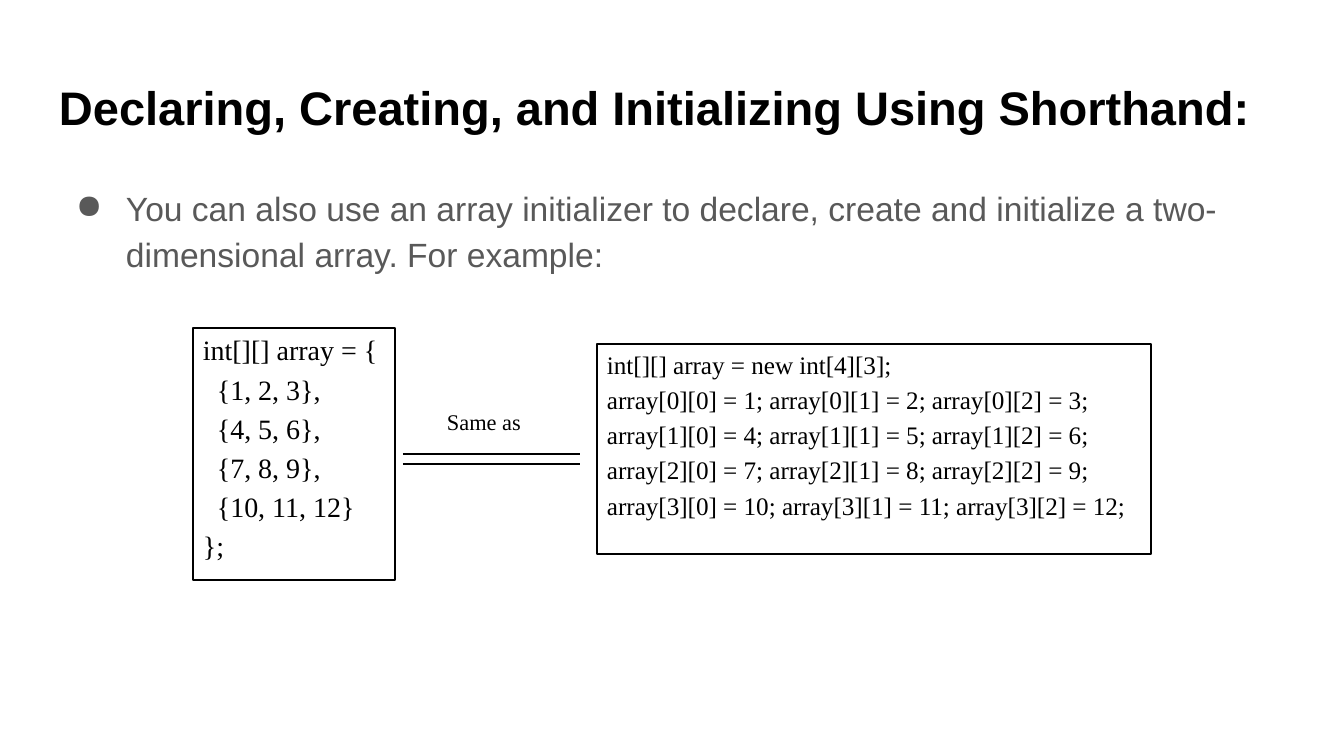
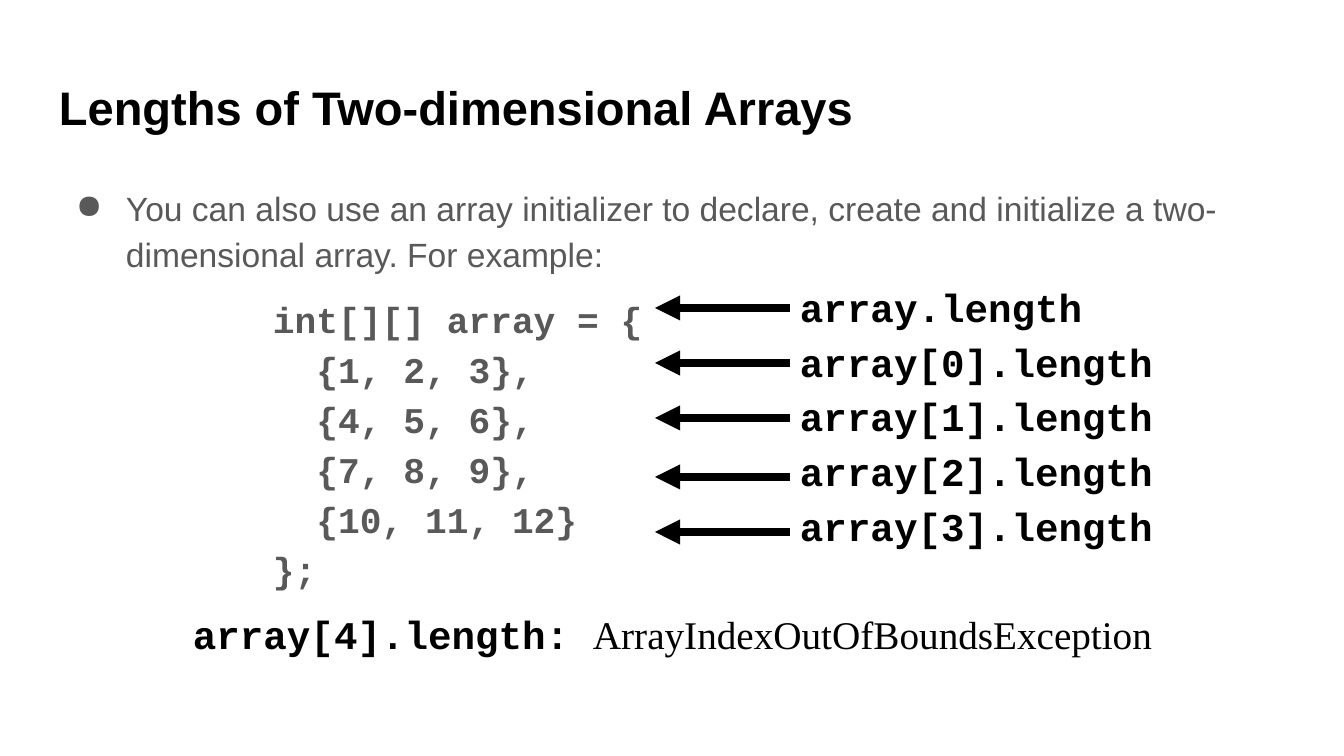
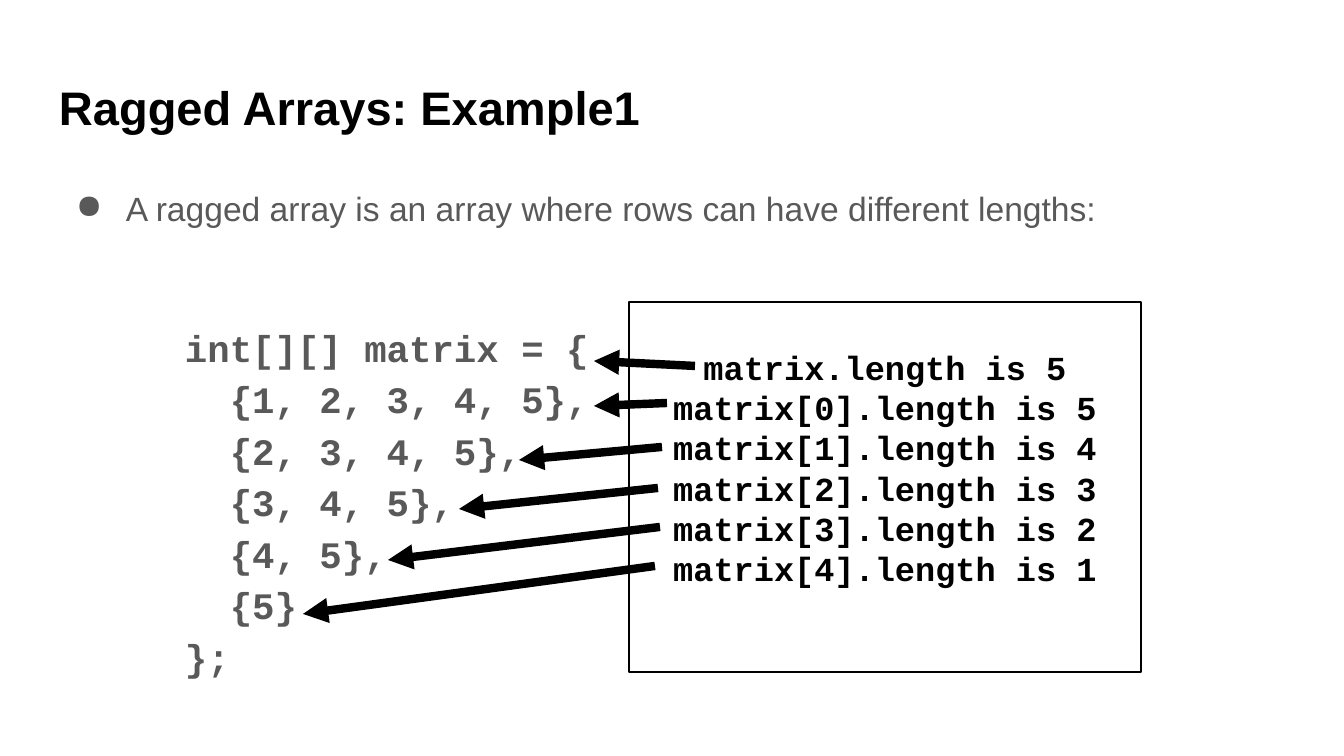
from lxml import etree
from pptx import Presentation
from pptx.dml.color import RGBColor
from pptx.enum.shapes import MSO_CONNECTOR, MSO_SHAPE
from pptx.enum.text import MSO_ANCHOR, PP_ALIGN
from pptx.oxml.ns import qn
from pptx.util import Pt

# Shared scale, colours and fonts
EMU_PER_PX = 914400 / 134.4
SLIDE_WIDTH, SLIDE_HEIGHT = 1344, 756
BLACK, GREY, WHITE = "000000", "595959", "FFFFFF"
SANS, MONO, SERIF = "Arial", "Courier New", "Times New Roman"
STRAIGHT = MSO_CONNECTOR.STRAIGHT
RECTANGLE = MSO_SHAPE.RECTANGLE
TOP, MIDDLE = MSO_ANCHOR.TOP, MSO_ANCHOR.MIDDLE
LEFT, CENTER = PP_ALIGN.LEFT, PP_ALIGN.CENTER

# Insets are left, top, right, bottom
WIDE_INSETS = (13, 13, 13, 13)
NARROW_INSETS = (10, 5, 10, 5)
HANGING = 50
INITIALIZER = ["int[][] array = {", "  {1, 2, 3},", "  {4, 5, 6},",
               "  {7, 8, 9},", "  {10, 11, 12}", "};"]
INITIALIZER_INTRO = ("You can also use an array initializer to declare, create and "
                     "initialize a two-dimensional array. For example:")


def px(length):
    return round(length * EMU_PER_PX)


def color(hex_string):
    return RGBColor.from_string(hex_string)


def add_bullet(paragraph, hex_string):
    properties = paragraph._p.get_or_add_pPr()
    bullet_color = etree.SubElement(properties, qn("a:buClr"))
    etree.SubElement(bullet_color, qn("a:srgbClr"), val=hex_string)
    etree.SubElement(properties, qn("a:buChar"), char="●")


def write_lines(shape, lines, font, size, hex_string, bold=False, insets=NARROW_INSETS,
                margin=HANGING, hanging=HANGING, line_spacing=None, gap=0,
                bullet=False, align=LEFT, anchor=TOP, wrap=True):
    """Fill a shape with one paragraph per line; gap is a share of the text size."""
    frame = shape.text_frame
    frame.word_wrap = wrap
    frame.vertical_anchor = anchor
    (frame.margin_left, frame.margin_top,
     frame.margin_right, frame.margin_bottom) = map(px, insets)
    for index, line in enumerate(lines):
        paragraph = frame.add_paragraph() if index else frame.paragraphs[0]
        paragraph.add_run().text = line
        paragraph.alignment = align
        properties = paragraph._p.get_or_add_pPr()
        properties.set("marL", str(px(margin)))
        properties.set("indent", str(-px(hanging)))
        if line_spacing:
            paragraph.line_spacing = line_spacing
        if index and gap:
            paragraph.space_before = Pt(size * gap)
        if bullet:
            add_bullet(paragraph, hex_string)
        paragraph.font.name = font
        paragraph.font.size = Pt(size)
        paragraph.font.bold = bold
        paragraph.font.color.rgb = color(hex_string)


def add_text(slide, box, lines, *style, **layout):
    shape = slide.shapes.add_textbox(*map(px, box))
    write_lines(shape, lines, *style, **layout)
    return shape


def add_framed_text(slide, box, lines, *style, line_width=0.75, fill=None, **layout):
    shape = slide.shapes.add_shape(RECTANGLE, *map(px, box))
    shape.shadow.inherit = False
    if fill:
        shape.fill.solid()
        shape.fill.fore_color.rgb = color(fill)
    else:
        shape.fill.background()
    shape.line.color.rgb = color(BLACK)
    shape.line.width = Pt(line_width)
    write_lines(shape, lines, *style, **layout)


def add_code(slide, box, lines, size):
    add_text(slide, box, lines, MONO, size, GREY, bold=True,
             insets=WIDE_INSETS, margin=67, line_spacing=1.15)


def add_line(slide, start, end, width):
    connector = slide.shapes.add_connector(STRAIGHT, *map(px, start + end))
    connector.line.color.rgb = color(BLACK)
    connector.line.width = Pt(width)
    etree.SubElement(connector._element.spPr, qn("a:effectLst"))
    return connector


def add_arrow(slide, start, end):
    connector = add_line(slide, start, end, 4.5)
    etree.SubElement(connector.line._get_or_add_ln(), qn("a:tailEnd"), type="triangle")


def add_topic_slide(presentation, title, intro):
    """Start a slide with its title and its bulleted introduction."""
    slide = presentation.slides.add_slide(presentation.slide_layouts[6])
    add_text(slide, (46, 169, 1253, 503), [intro], SANS, 18, GREY,
             insets=WIDE_INSETS, margin=67, line_spacing=1.15, bullet=True)
    add_text(slide, (46, 66, 1253, 85), [title], SANS, 25.2, BLACK, bold=True,
             insets=WIDE_INSETS, margin=0, hanging=0)
    return slide


def build_shorthand(presentation):
    slide = add_topic_slide(
        presentation, "Declaring, Creating, and Initializing Using Shorthand:",
        INITIALIZER_INTRO)
    # Equivalent assignments, with values counting up row by row
    assignments = ["int[][] array = new int[4][3];"]
    for row in range(4):
        assignments.append(" ".join(
            f"array[{row}][{column}] = {3 * row + column + 1};" for column in range(3)))
    add_framed_text(slide, (597, 344, 554, 210), assignments, SERIF, 13.5, BLACK, gap=0.2)
    add_framed_text(slide, (193, 328, 202, 252), INITIALIZER, SERIF, 15, BLACK, gap=0.2)
    # Equals sign between the two boxes
    add_text(slide, (437, 403, 151, 42), ["Same as"], SERIF, 12, BLACK)
    for y in (454, 464):
        add_line(slide, (403, y), (580, y), 1)


def build_lengths(presentation):
    slide = add_topic_slide(presentation, "Lengths of Two-dimensional Arrays",
                            INITIALIZER_INTRO)
    add_code(slide, (243, 278, 429, 347), INITIALIZER, 19.4)
    lengths = ["array.length"] + [f"array[{row}].length" for row in range(4)]
    add_text(slide, (790, 278, 437, 313), lengths, MONO, 21, BLACK, bold=True, gap=0.2)
    # Out-of-range row
    error = add_text(slide, (183, 605, 1036, 65), ["array[4].length: "],
                     MONO, 21, BLACK, bold=True)
    exception = error.text_frame.paragraphs[0].add_run()
    exception.text = "ArrayIndexOutOfBoundsException"
    exception.font.name = SERIF
    exception.font.bold = False
    for y in (308, 363, 418, 477, 532):
        add_arrow(slide, (790, y), (655, y))


def build_ragged(presentation):
    slide = add_topic_slide(
        presentation, "Ragged Arrays: Example1",
        "A ragged array is an array where rows can have different lengths:")
    # Each row starts one value later
    rows = ["  {" + ", ".join(map(str, range(first, 6))) + "}" + ("," if first < 5 else "")
            for first in range(1, 6)]
    add_code(slide, (155, 305, 957, 400), ["int[][] matrix = {", *rows, "};"], 20)
    lengths = ["matrix.length is 5"]
    lengths += [f"matrix[{row}].length is {5 - row}" for row in range(5)]
    add_framed_text(slide, (629, 302, 512, 370), lengths, MONO, 18, BLACK, bold=True,
                    line_width=1, fill=WHITE, insets=(13, 7, 13, 46), margin=0,
                    hanging=0, align=CENTER, anchor=MIDDLE, wrap=False)
    # Arrows from each length to its row
    for start, end in (((695, 366), (594, 361)), ((667, 403), (594, 406)),
                       ((662, 447), (519, 460)), ((658, 488), (459, 509)),
                       ((660, 527), (388, 560)), ((655, 566), (303, 614))):
        add_arrow(slide, start, end)


def main():
    presentation = Presentation()
    presentation.slide_width = px(SLIDE_WIDTH)
    presentation.slide_height = px(SLIDE_HEIGHT)
    build_shorthand(presentation)
    build_lengths(presentation)
    build_ragged(presentation)
    presentation.save("out.pptx")


if __name__ == "__main__":
    main()
